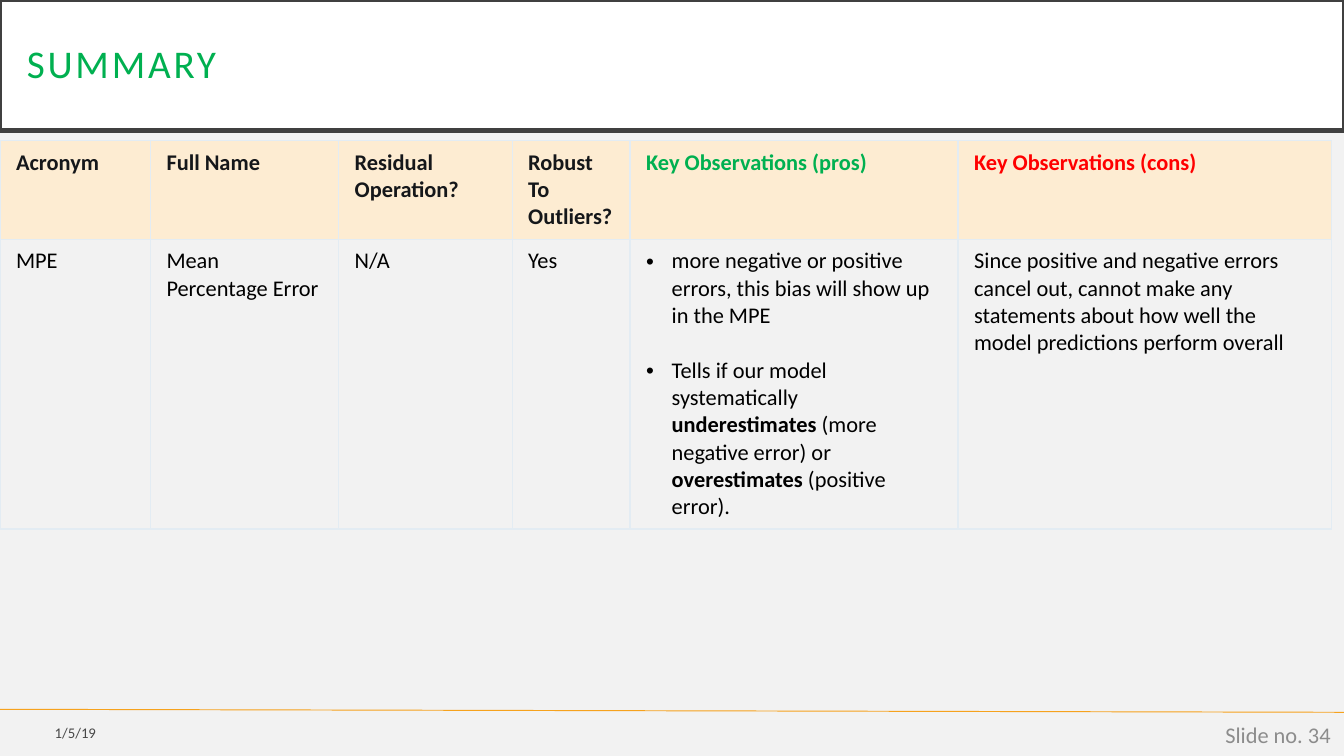
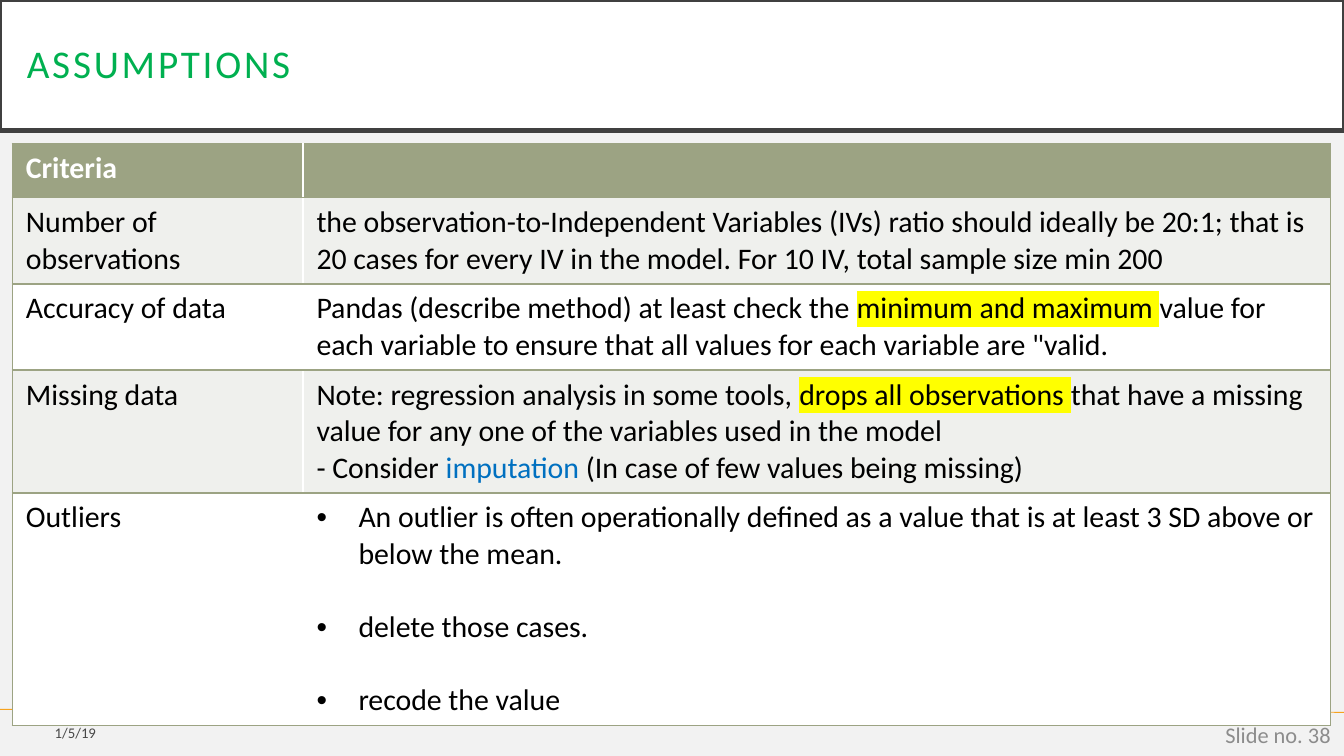
from dataclasses import dataclass
from typing import Any, NamedTuple

from lxml import etree
from pptx import Presentation, util as u
from pptx.dml import color
from pptx.enum import shapes, text
from pptx.oxml import ns

FONT = "Calibri"
COLORS = {
    "page": "F2F2F2",
    "white": "FFFFFF",
    "black": "000000",
    "ink": "15171A",
    "frame": "404040",
    "rule": "F6A21D",
    "green": "00B050",
    "red": "FF0000",
    "blue": "0070C0",
    "grey": "8C8C8C",
    "yellow": "FFFF00",
    "cream": "FDECD2",
    "pale": "E3ECF3",
    "sage": "9CA383",
    "mist": "EFF0ED",
}
WIDTH, HEIGHT = 720, 405


class Run(NamedTuple):
    text: str
    color: str = "black"
    bold: bool = False
    highlight: str = ""
    alpha: int = 100
    spacing: float = 0


class Para(NamedTuple):
    runs: tuple[Run, ...]
    indent: float = 0
    before: float = 0


class Cell(NamedTuple):
    paras: tuple[Para, ...] = ()
    fill: str = ""
    edges: str = "LRTB"


class Box(NamedTuple):
    left: float
    top: float
    width: float
    height: float

    def lengths(self) -> list[u.Length]:
        return [u.Pt(n) for n in self]


@dataclass
class Grid:
    left: float
    top: float
    cols: list[float]
    rows: list[float]
    cells: list[list[Cell]]
    size: float
    border: str
    border_width: float
    margins: tuple[float, float]


@dataclass
class Page:
    title: str
    number: int
    grid: Grid


def rgb(name: str) -> color.RGBColor:
    return color.RGBColor.from_string(COLORS[name])


def sub(parent: Any, tag: str, **attrs: str) -> Any:
    return etree.SubElement(parent, ns.qn(tag), attrs)


def add_run(p: Any, run: Run, size: float) -> None:
    r = p.add_run()
    r.text = run.text
    r.font.size = u.Pt(size)
    r.font.bold = run.bold
    r.font.color.rgb = rgb(run.color)
    rpr = r._r.get_or_add_rPr()
    if run.alpha < 100:
        sub(rpr.find(".//" + ns.qn("a:srgbClr")), "a:alpha", val=str(run.alpha * 1000))
    if run.highlight:
        sub(sub(rpr, "a:highlight"), "a:srgbClr", val=COLORS[run.highlight])
    if run.spacing:
        rpr.set("spc", str(int(run.spacing * 100)))
    r.font.name = FONT


def write(tf: Any, paras: tuple[Para, ...], size: float) -> None:
    for i, para in enumerate(paras):
        p = tf.add_paragraph() if i else tf.paragraphs[0]
        if para.before:
            p.space_before = u.Pt(para.before)
        if para.indent:
            ppr = p._p.get_or_add_pPr()
            ppr.set("marL", str(u.Pt(para.indent)))
            ppr.set("indent", str(-u.Pt(para.indent)))
            sub(ppr, "a:buFont", typeface="Arial")
            sub(ppr, "a:buChar", char="•")
        for run in para.runs:
            add_run(p, run, size)


def add_rule(s: Any) -> None:
    line = s.shapes.add_connector(
        shapes.MSO_CONNECTOR.STRAIGHT, 0, u.Pt(380), u.Pt(WIDTH), u.Pt(381.6)
    )
    line.line.color.rgb = rgb("rule")
    line.line.width = u.Pt(0.5)
    sub(line._element.spPr, "a:effectLst")


def add_title(s: Any, title: str) -> None:
    sp = s.shapes.add_shape(shapes.MSO_SHAPE.RECTANGLE, *Box(0, 0, WIDTH, 70).lengths())
    sp.shadow.inherit = False
    sp.fill.solid()
    sp.fill.fore_color.rgb = rgb("white")
    sp.line.color.rgb = rgb("frame")
    sp.line.width = u.Pt(2.5)
    tf = sp.text_frame
    tf.word_wrap = True
    tf.vertical_anchor = text.MSO_ANCHOR.MIDDLE
    tf.margin_left = tf.margin_right = tf.margin_top = tf.margin_bottom = u.Pt(14.4)
    write(tf, (Para((Run(title, "green", spacing=1.5),)),), 21)
    tf.paragraphs[0].alignment = text.PP_ALIGN.LEFT
    tf.paragraphs[0].line_spacing = 0.9


def add_footer(s: Any, box: Box, run: Run, size: float) -> None:
    tf = s.shapes.add_textbox(*box.lengths()).text_frame
    tf.word_wrap = True
    tf.vertical_anchor = text.MSO_ANCHOR.MIDDLE
    write(tf, (Para((run,)),), size)
    tf.paragraphs[0].alignment = text.PP_ALIGN.RIGHT


def style_cell(target: Any, cell: Cell, grid: Grid) -> None:
    across, down = grid.margins
    target.margin_left = target.margin_right = u.Pt(across)
    target.margin_top = target.margin_bottom = u.Pt(down)
    tcpr = target._tc.get_or_add_tcPr()
    for side in cell.edges:
        ln = sub(tcpr, "a:ln" + side, w=str(u.Pt(grid.border_width)))
        sub(sub(ln, "a:solidFill"), "a:srgbClr", val=COLORS[grid.border])
    if cell.fill:
        target.fill.solid()
        target.fill.fore_color.rgb = rgb(cell.fill)
    else:
        target.fill.background()
    write(target.text_frame, cell.paras, grid.size)


def add_grid(s: Any, grid: Grid) -> None:
    box = Box(grid.left, grid.top, sum(grid.cols), sum(grid.rows))
    tbl = s.shapes.add_table(len(grid.rows), len(grid.cols), *box.lengths()).table
    tbl.first_row = tbl.horz_banding = False
    for col, width in zip(tbl.columns, grid.cols):
        col.width = u.Pt(width)
    for row, height in zip(tbl.rows, grid.rows):
        row.height = u.Pt(height)
    for i, cells in enumerate(grid.cells):
        for j, cell in enumerate(cells):
            style_cell(tbl.cell(i, j), cell, grid)


def add_page(prs: Any, page: Page) -> None:
    s = prs.slides.add_slide(prs.slide_layouts[6])
    s.background.fill.solid()
    s.background.fill.fore_color.rgb = rgb("page")
    add_rule(s)
    add_title(s, page.title)
    add_footer(s, Box(0, 382.5, 58.5, 19.5), Run("1/5/19", alpha=70), 7.9)
    add_footer(s, Box(558, 383, 162, 21.6), Run(f"Slide no. {page.number}", "grey"), 12)
    add_grid(s, page.grid)


def plain(words: str) -> tuple[Para, ...]:
    return (Para((Run(words),)),)


def heading(words: str, ink: str = "ink") -> Cell:
    return Cell((Para((Run(words, ink, True),)),), "cream")


def criteria_row(name: Run, paras: tuple[Para, ...], fill: str) -> list[Cell]:
    return [Cell((Para((name,)),), fill, "LTB"), Cell(paras, fill, "RTB")]


def summary() -> Grid:
    pros = (
        Para((Run("more negative or positive errors, this bias will show up in the MPE"),), 13.7),
        Para(
            (
                Run("Tells if our model systematically "),
                Run("underestimates", bold=True),
                Run(" (more negative error) or "),
                Run("overestimates", bold=True),
                Run(" (positive error)."),
            ),
            13.7,
            14.6,
        ),
    )
    cons = plain(
        "Since positive and negative errors cancel out, cannot make any statements "
        "about how well the model predictions perform overall"
    )
    names = ["Acronym", "Full Name", "Residual Operation?", "Robust To Outliers?"]
    values = ["MPE", "Mean Percentage Error", "N/A", "Yes"]
    head = [heading(n) for n in names]
    head += [heading("Key Observations (pros)", "green"), heading("Key Observations (cons)", "red")]
    body = [Cell(plain(v)) for v in values] + [Cell(pros), Cell(cons)]
    cols = [80.6, 100.8, 93, 63.2, 175.7, 200.2]
    return Grid(0, 75.4, cols, [53, 155], [head, body], 12, "pale", 0.75, (8.64, 4.32))


def assumptions() -> Grid:
    observations = plain(
        "the observation-to-Independent Variables (IVs) ratio should ideally be 20:1; "
        "that is 20 cases for every IV in the model. For 10 IV, total sample size min 200"
    )
    accuracy = (
        Para(
            (
                Run("Pandas (describe method) at least check the "),
                Run("minimum and maximum ", highlight="yellow"),
                Run('value for each variable to ensure that all values for each variable are "valid.'),
            )
        ),
    )
    missing = (
        Para(
            (
                Run("Note: regression analysis in some tools, "),
                Run("drops all observations ", highlight="yellow"),
                Run("that have a missing value for any one of the variables used in the model"),
            )
        ),
        Para(
            (
                Run("- Consider "),
                Run("imputation ", "blue"),
                Run("(In case of few values being missing)"),
            )
        ),
    )
    steps = [
        "An outlier is often operationally defined as a value that is at least 3 SD "
        "above or below the mean.",
        "delete those cases.",
        "recode the value",
    ]
    outliers = tuple(Para((Run(t),), 22.5, 19.5 if i else 0) for i, t in enumerate(steps))
    cells = [
        criteria_row(Run("Criteria", "white", True), (), "sage"),
        criteria_row(Run("Number of observations"), observations, "mist"),
        criteria_row(Run("Accuracy of data"), accuracy, "white"),
        criteria_row(Run("Missing data"), missing, "mist"),
        criteria_row(Run("Outliers"), outliers, "white"),
    ]
    rows = [27.2, 46.2, 46.2, 65.8, 124.8]
    return Grid(6.7, 77, [155.7, 550.3], rows, cells, 16, "sage", 1, (7.2, 3.6))


def main() -> None:
    prs = Presentation()
    prs.slide_width, prs.slide_height = u.Pt(WIDTH), u.Pt(HEIGHT)
    for page in (Page("SUMMARY", 34, summary()), Page("ASSUMPTIONS", 38, assumptions())):
        add_page(prs, page)
    prs.save("out.pptx")


if __name__ == "__main__":
    main()
